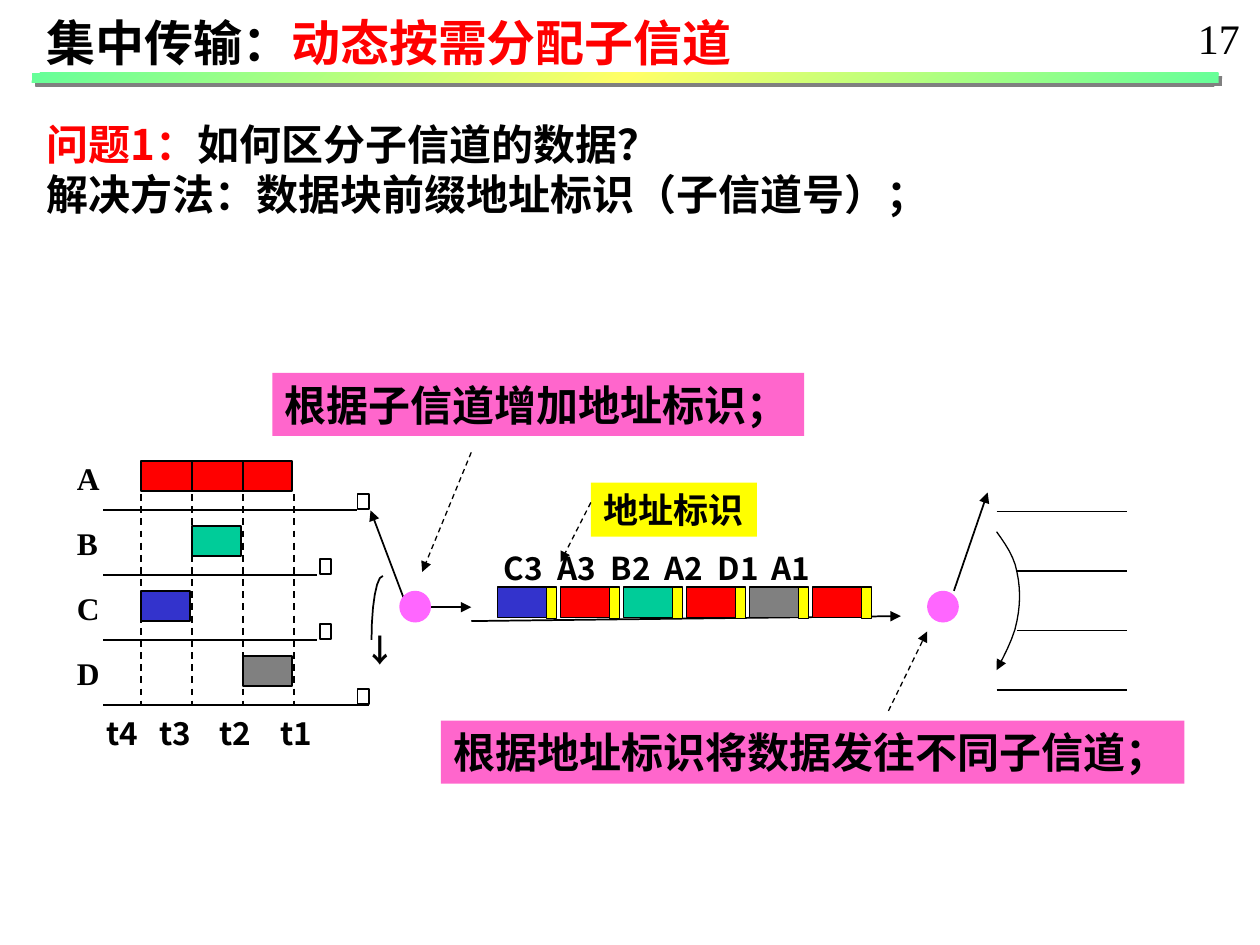
from lxml import etree
from pptx import Presentation
from pptx.dml.color import RGBColor
from pptx.enum.dml import MSO_LINE
from pptx.enum.shapes import MSO_CONNECTOR, MSO_SHAPE
from pptx.oxml import parse_xml
from pptx.oxml.ns import nsdecls, qn
from pptx.util import Cm, Pt

RECT, OVAL = MSO_SHAPE.RECTANGLE, MSO_SHAPE.OVAL
STRAIGHT, DASH = MSO_CONNECTOR.STRAIGHT, MSO_LINE.DASH
SANS, SERIF = "Noto Sans CJK SC", "Times New Roman"
BLACK, RED, GREEN, BLUE, GRAY = "000000", "FF0000", "00CC99", "3333CC", "808080"
YELLOW, PINK, MAGENTA = "FFFF00", "FF66CC", "FF66FF"

LANE_TOP, LANE_PITCH = 10.28, 1.31
SLOT_LEFT, SLOT_PITCH = 2.84, 1.03
BLOCK_WIDTH, BLOCK_HEIGHT = 0.99, 0.61
LANES = [("A", 7.19, 7.21), ("B", 6.4, 6.45), ("C", 6.4, 6.45), ("D", 7.44, 7.21)]
PACKETS = [("C3", BLUE), ("A3", RED), ("B2", GREEN), ("A2", RED), ("D1", GRAY), ("A1", RED)]


def color(value):
    return RGBColor.from_string(value)


def paint_outline(line, width, dashed=False, arrow=False):
    line.color.rgb = color(BLACK)
    line.width = Pt(width)
    if dashed:
        line.dash_style = DASH
    if arrow:
        etree.SubElement(line._get_or_add_ln(), qn("a:tailEnd"), type="triangle")


def add_figure(slide, kind, left, top, width, height, fill=None, outline=1):
    figure = slide.shapes.add_shape(kind, Cm(left), Cm(top), Cm(width), Cm(height))
    figure.shadow.inherit = False
    if fill:
        figure.fill.solid()
        figure.fill.fore_color.rgb = color(fill)
    else:
        figure.fill.background()
    if outline:
        paint_outline(figure.line, outline)
    else:
        figure.line.fill.background()
    return figure


def add_line(slide, x1, y1, x2, y2, width=1, dashed=False, arrow=False):
    link = slide.shapes.add_connector(STRAIGHT, Cm(x1), Cm(y1), Cm(x2), Cm(y2))
    paint_outline(link.line, width, dashed, arrow)
    etree.SubElement(link._element.spPr, qn("a:effectLst"))


def add_curve(slide, points, width, arrow=False, steps=6):
    track = [points[0]]
    for i in range(0, len(points) - 1, 3):
        for step in range(1, steps + 1):
            t = step / steps
            weights = ((1 - t) ** 3, 3 * t * (1 - t) ** 2, 3 * t * t * (1 - t), t ** 3)
            track.append(tuple(sum(w * p[axis] for w, p in zip(weights, points[i:i + 4]))
                               for axis in (0, 1)))
    track = [(Cm(x), Cm(y)) for x, y in track]
    builder = slide.shapes.build_freeform(*track[0])
    builder.add_line_segments(track[1:], close=False)
    curve = builder.convert_to_shape()
    curve.shadow.inherit = False
    curve.fill.background()
    paint_outline(curve.line, width, arrow=arrow)


def add_text(slide, paragraphs, left, top, width, height, size,
             font=SANS, bold=True, fill=None, wrap=False, tabs=()):
    label = slide.shapes.add_textbox(Cm(left), Cm(top), Cm(width), Cm(height))
    if fill:
        label.fill.solid()
        label.fill.fore_color.rgb = color(fill)
    frame = label.text_frame
    frame.word_wrap = wrap
    for i, runs in enumerate(paragraphs):
        paragraph = frame.paragraphs[0] if i == 0 else frame.add_paragraph()
        if tabs:
            stops = etree.SubElement(paragraph._p.get_or_add_pPr(), qn("a:tabLst"))
            for stop in tabs:
                etree.SubElement(stops, qn("a:tab"), pos=str(Cm(stop)), algn="l")
        for words, ink in runs:
            run = paragraph.add_run()
            run.text = words
            for key, value in {"size": Pt(size), "bold": bold, "name": font}.items():
                setattr(run.font, key, value)
            run.font.color.rgb = color(ink)
            etree.SubElement(run._r.get_or_add_rPr(), qn("a:ea"), typeface=SANS)


def add_title_bar(slide):
    bar = add_figure(slide, RECT, 0.64, 1.47, 23.93, 0.2, outline=0)
    properties = bar._element.spPr
    stops = "".join(f'<a:gs pos="{pos}"><a:srgbClr val="{tint}"/></a:gs>' for pos, tint in
                    ((0, "66FF99"), (50000, "FFFF66"), (100000, "66FF99")))
    properties.replace(properties.find(qn("a:noFill")), parse_xml(
        f'<a:gradFill {nsdecls("a")}><a:gsLst>{stops}</a:gsLst>'
        '<a:lin ang="2700000" scaled="1"/></a:gradFill>'))
    shadow = etree.SubElement(properties.find(qn("a:effectLst")), qn("a:outerShdw"),
                              dist=str(Pt(2.8)), dir="2700000", algn="ctr")
    etree.SubElement(shadow, qn("a:srgbClr"), val=GRAY)


def add_headings(slide):
    add_text(slide, [[("17", BLACK)]], 23.9, 0.13, 1.37, 1.27, 24, SERIF, bold=False)
    add_text(slide, [[("集中传输：", BLACK), ("动态按需分配子信道", RED)]],
             0.69, 0.13, 14.4, 1.45, 28)
    add_text(slide, [[("问题1：", RED), ("如何区分子信道的数据？", BLACK)],
                     [("解决方法：数据块前缀地址标识（子信道号）；", BLACK)]],
             0.69, 2.26, 20.02, 2.49, 24, wrap=True)


def add_source_lanes(slide):
    for row, (name, end, port) in enumerate(LANES):
        base = LANE_TOP + row * LANE_PITCH
        add_line(slide, 2.08, base, end, base)
        add_figure(slide, RECT, port, base - 0.32, 0.23, 0.3)
        add_text(slide, [[(name, BLACK)]], 1.3, base - 1.16, 0.97, 1.02, 18, SERIF)
    for slot in range(4):
        x = SLOT_LEFT + slot * SLOT_PITCH
        add_line(slide, x, 9.96, x, 14.2, dashed=True)
    for row, slot, slots, fill in ((0, 0, 3, RED), (1, 1, 1, GREEN),
                                   (2, 0, 1, BLUE), (3, 2, 1, GRAY)):
        add_figure(slide, RECT, SLOT_LEFT + slot * SLOT_PITCH,
                   LANE_TOP + row * LANE_PITCH - 0.99,
                   BLOCK_WIDTH + (slots - 1) * SLOT_PITCH, BLOCK_HEIGHT, fill)
    for slot in (1, 2):
        x = SLOT_LEFT + slot * SLOT_PITCH
        add_line(slide, x, 9.3, x, 9.92)
    add_text(slide, [[("t4\tt3\tt2\tt1", BLACK)]], 1.9, 14.27, 6.63, 1.02, 18,
             wrap=True, tabs=(1.07, 2.28, 3.51))


def add_packet_stream(slide):
    add_text(slide, [[("\t".join(name for name, _ in PACKETS), BLACK)]],
             9.9, 10.95, 7.9, 1.02, 18, wrap=True,
             tabs=[1.08 * i for i in range(1, len(PACKETS))])
    add_line(slide, 9.5, 12.52, 18.16, 12.42, arrow=True)
    for i, (_, fill) in enumerate(PACKETS):
        left = 10.03 + 1.27 * i
        add_figure(slide, RECT, left, 11.84, BLOCK_WIDTH, BLOCK_HEIGHT, fill)
        add_figure(slide, RECT, left + BLOCK_WIDTH, 11.84, 0.2, 0.63, YELLOW)


def add_switches(slide):
    for ends in ((8.26, 12.24, 9.5, 12.24), (8.2, 12.22, 7.47, 10.29),
                 (19.23, 11.91, 19.91, 9.93)):
        add_line(slide, *ends, arrow=True)
    for left in (8.05, 18.69):
        add_figure(slide, OVAL, left, 11.91, 0.64, 0.64, MAGENTA, outline=0)
    add_curve(slide, [(7.49, 12.9), (7.49, 12.19), (7.59, 11.61), (7.72, 11.61)], 1)
    add_text(slide, [[("↓", BLACK)]], 7.1, 12.6, 1.14, 1.02, 18)
    add_curve(slide, [(20.09, 10.72), (20.27, 10.97), (20.45, 11.23), (20.5, 11.53),
                      (20.57, 11.84), (20.57, 12.19), (20.5, 12.52),
                      (20.45, 12.85), (20.17, 13.36), (20.09, 13.51)], 0.75, arrow=True)
    for row, start in enumerate((20.09, 20.5, 20.5, 20.09)):
        y = 10.31 + 1.2 * row
        add_line(slide, start, y, 22.71, y)


def add_callouts(slide):
    for words, place, size, fill, pointer in (
        ("地址标识", (11.91, 9.73, 3.35, 1.09), 20, YELLOW, (11.91, 10.13, 11.3, 11.33)),
        ("根据地址标识将数据发往不同子信道；", (8.89, 14.53, 14.99, 1.27), 24, PINK,
         (17.91, 14.33, 18.69, 12.73)),
        ("根据子信道增加地址标识；", (5.49, 7.52, 10.72, 1.27), 24, PINK,
         (9.5, 9.12, 8.51, 11.53)),
    ):
        add_text(slide, [[(words, BLACK)]], *place, size, SERIF, fill=fill)
        add_line(slide, *pointer, width=0.75, dashed=True, arrow=True)


def main():
    deck = Presentation()
    deck.slide_width, deck.slide_height = Cm(25.4), Cm(19.05)
    slide = deck.slides.add_slide(deck.slide_layouts[6])
    for add_part in (add_title_bar, add_source_lanes, add_packet_stream,
                     add_switches, add_headings, add_callouts):
        add_part(slide)
    deck.save("out.pptx")


if __name__ == "__main__":
    main()
